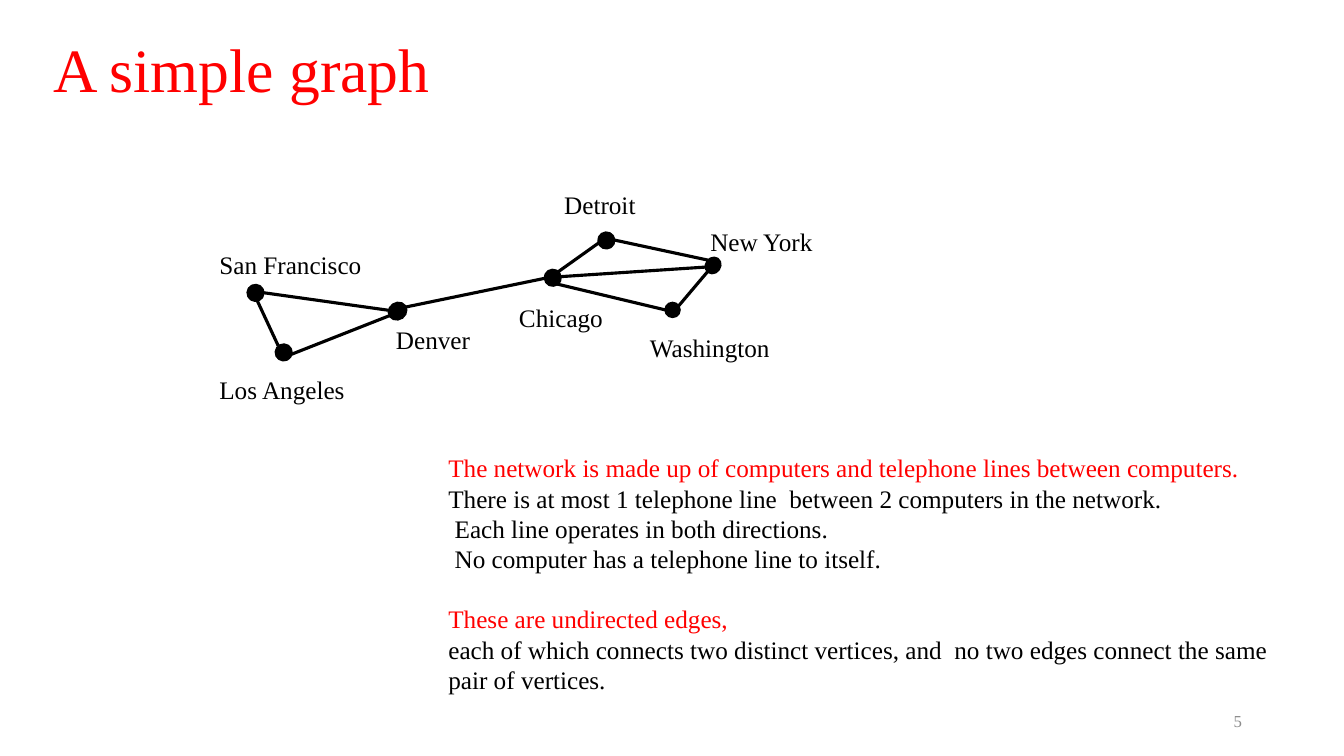
from lxml.etree import SubElement
from pptx import Presentation
from pptx.dml.color import RGBColor
from pptx.enum.shapes import MSO_CONNECTOR as Connector, MSO_SHAPE as Shape
from pptx.enum.text import MSO_ANCHOR as Anchor, MSO_AUTO_SIZE as AutoSize, PP_ALIGN as Align
from pptx.oxml.ns import qn
from pptx.util import Cm, Pt

FONT = "Times New Roman"
COLOURS = {"accent": "FF0000", "ink": "000000", "muted": "8C8C8C"}
TITLE = "A simple graph"
PAGE_NUMBER = "5"

# city: dot centre, dot width and height, outline in points, rotation
DOTS = {
    "San Francisco": (6.44, 7.38, 0.38, 0.38, 2.25, 334.2),
    "Los Angeles": (7.15, 8.88, 0.38, 0.38, 2.25, 334.2),
    "Detroit": (15.28, 6.06, 0.38, 0.38, 2.25, 55.3),
    "Chicago": (13.93, 7.0, 0.38, 0.38, 2.25, 55.3),
    "Washington": (16.95, 7.81, 0.38, 0.38, 1, 0),
    "New York": (17.97, 6.69, 0.38, 0.43, 1, 35.2),
    "Denver": (10.02, 7.84, 0.48, 0.43, 1, 324.8),
}
# city: label left, top, width
LABELS = {
    "San Francisco": (5.28, 6.15, 4.14),
    "Denver": (9.73, 8.05, 2.39),
    "Los Angeles": (5.28, 9.32, 3.71),
    "New York": (17.65, 5.59, 3.12),
    "Chicago": (12.83, 7.49, 2.64),
    "Washington": (16.13, 8.26, 3.61),
    "Detroit": (13.97, 4.65, 2.36),
}
# line ends: from x, y to x, y
EDGES = {
    ("San Francisco", "Los Angeles"): (6.48, 7.57, 7.01, 8.71),
    ("Detroit", "Chicago"): (15.09, 6.12, 14.05, 6.86),
    ("San Francisco", "Denver"): (6.6, 7.37, 10.16, 7.87),
    ("Denver", "Los Angeles"): (10.03, 7.87, 7.11, 9.02),
    ("Detroit", "New York"): (15.21, 5.99, 17.96, 6.58),
    ("Chicago", "New York"): (13.84, 6.99, 17.78, 6.73),
    ("Chicago", "Washington"): (13.84, 7.11, 17.02, 7.87),
    ("Chicago", "Denver"): (13.84, 6.99, 10.16, 7.75),
    ("New York", "Washington"): (17.93, 6.73, 16.94, 7.9),
}
LINE_PITCH = 21.6
# text, colour, space before in points
NOTES = [
    ("The network is made up of computers and telephone lines between computers.", "accent", 0),
    ("There is at most 1 telephone line  between 2 computers in the network.", "ink", 0),
    (" Each line operates in both directions.", "ink", 0),
    (" No computer has a telephone line to itself.", "ink", 0),
    ("These are undirected edges,", "accent", LINE_PITCH),
    ("each of which connects two distinct vertices, and  no two edges connect "
     "the same pair of vertices.", "ink", 0),
]


def colour(name):
    return RGBColor.from_string(COLOURS[name])


def write(para, text, size, tint):
    para.text = text
    para.font.name = FONT
    para.font.size = Pt(size)
    para.font.color.rgb = colour(tint)


def add_text_box(page, left, top, width, height):
    box = page.shapes.add_textbox(Cm(left), Cm(top), Cm(width), Cm(height))
    box.text_frame.word_wrap = True
    return box.text_frame


def add_title(page):
    title = page.shapes.title
    title.left, title.top, title.width, title.height = Cm(1.09), Cm(0.25), Cm(21.79), Cm(3.18)
    title.text_frame.vertical_anchor = Anchor.MIDDLE
    para = title.text_frame.paragraphs[0]
    write(para, TITLE, 44, "accent")
    para.alignment = Align.LEFT
    para.line_spacing = 0.9


def add_edge(page, x1, y1, x2, y2):
    edge = page.shapes.add_connector(Connector.STRAIGHT, Cm(x1), Cm(y1), Cm(x2), Cm(y2))
    edge.line.color.rgb = colour("ink")
    edge.line.width = Pt(2.25)
    SubElement(edge._element.spPr, qn("a:effectLst"))


def add_dot(page, x, y, width, height, outline, rotation):
    dot = page.shapes.add_shape(
        Shape.OVAL, Cm(x - width / 2), Cm(y - height / 2), Cm(width), Cm(height))
    dot.rotation = rotation
    dot.shadow.inherit = False
    dot.fill.solid()
    dot.fill.fore_color.rgb = colour("ink")
    dot.line.color.rgb = colour("ink")
    dot.line.width = Pt(outline)


def add_label(page, city, left, top, width):
    frame = add_text_box(page, left, top, width, 1.03)
    frame.word_wrap = False
    frame.auto_size = AutoSize.SHAPE_TO_FIT_TEXT
    write(frame.paragraphs[0], city, 18, "ink")


def add_notes_text(page):
    frame = add_text_box(page, 11.05, 11.28, 22.1, 6.4)
    frame.auto_size = AutoSize.SHAPE_TO_FIT_TEXT
    for index, (text, tint, before) in enumerate(NOTES):
        para = frame.add_paragraph() if index else frame.paragraphs[0]
        write(para, text, 18, tint)
        para.line_spacing = Pt(LINE_PITCH)
        para.space_before = Pt(before)


def add_page_number(page):
    frame = add_text_box(page, 23.93, 17.65, 7.62, 1.02)
    frame.vertical_anchor = Anchor.MIDDLE
    write(frame.paragraphs[0], PAGE_NUMBER, 12, "muted")
    frame.paragraphs[0].alignment = Align.RIGHT


def main():
    deck = Presentation()
    deck.slide_width, deck.slide_height = Cm(33.87), Cm(19.05)
    page = deck.slides.add_slide(deck.slide_layouts[5])
    add_title(page)
    for ends in EDGES.values():
        add_edge(page, *ends)
    for dot in DOTS.values():
        add_dot(page, *dot)
    for city, place in LABELS.items():
        add_label(page, city, *place)
    add_notes_text(page)
    add_page_number(page)
    deck.save("out.pptx")


if __name__ == "__main__":
    main()
